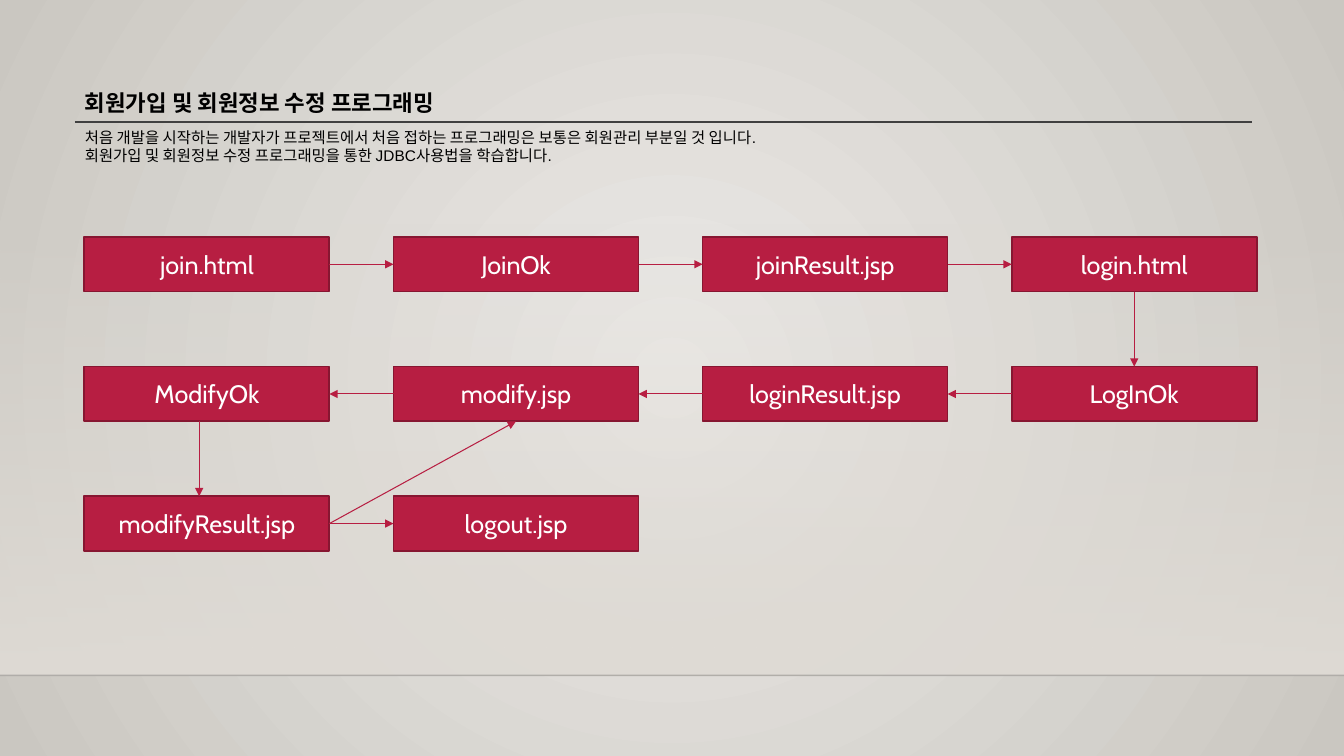
import pptx
import pptx.util
import pptx.dml.color
import pptx.enum.shapes
import pptx.enum.text
import pptx.oxml
from pptx.oxml.ns import nsdecls, qn

Pt = pptx.util.Pt
RECT = pptx.enum.shapes.MSO_SHAPE.RECTANGLE
STRAIGHT = pptx.enum.shapes.MSO_CONNECTOR.STRAIGHT
ANCHOR = pptx.enum.text.MSO_ANCHOR
ALIGN = pptx.enum.text.PP_ALIGN

COLORS = {
    "center": "ECEAE7", "edge": "CAC7C1", "wall": "DFDBD5", "floor": "000001",
    "rule": "404040", "text": "000000", "box": "B71E42", "border": "871631",
    "label": "FFFFFF",
}
TOP, LEFT, BOTTOM, RIGHT = range(4)  # connection sites of a rectangle

GRID = [
    ["join.html", "JoinOk", "joinResult.jsp", "login.html"],
    ["ModifyOk", "modify.jsp", "loginResult.jsp", "LogInOk"],
    ["modifyResult.jsp", "logout.jsp"],
]
FLOW = [
    ("join.html", RIGHT, "JoinOk", LEFT),
    ("JoinOk", RIGHT, "joinResult.jsp", LEFT),
    ("joinResult.jsp", RIGHT, "login.html", LEFT),
    ("login.html", BOTTOM, "LogInOk", TOP),
    ("LogInOk", LEFT, "loginResult.jsp", RIGHT),
    ("loginResult.jsp", LEFT, "modify.jsp", RIGHT),
    ("modify.jsp", LEFT, "ModifyOk", RIGHT),
    ("modifyResult.jsp", RIGHT, "logout.jsp", LEFT),
    ("modifyResult.jsp", RIGHT, "modify.jsp", BOTTOM),
]


def rgb(name):
    return pptx.dml.color.RGBColor.from_string(COLORS[name])


def set_gradient(fill, element, stops, direction):
    """Fill with (position, colour, opacity) stops, all in percent."""
    fill.solid()
    gs = "".join(
        f'<a:gs pos="{pos * 1000}"><a:srgbClr val="{COLORS[color]}">'
        f'<a:alpha val="{alpha * 1000}"/></a:srgbClr></a:gs>'
        for pos, color, alpha in stops)
    solid = element.find(".//" + qn("a:solidFill"))
    solid.getparent().replace(solid, pptx.oxml.parse_xml(
        f'<a:gradFill {nsdecls("a")} rotWithShape="1">'
        f'<a:gsLst>{gs}</a:gsLst>{direction}</a:gradFill>'))


def add_text(tf, text, size, font="Arial", color="text", bold=False,
             align=ALIGN.LEFT, anchor=ANCHOR.TOP):
    tf.word_wrap = True
    tf.vertical_anchor = anchor
    for i, line in enumerate(text.split("\n")):
        p = tf.paragraphs[0] if i == 0 else tf.add_paragraph()
        p.alignment = align
        r = p.add_run()
        r.text = line
        r.font.name, r.font.size, r.font.bold = font, Pt(size), bold
        r.font.color.rgb = rgb(color)


def add_line(s, x1, y1, x2, y2, color, width, arrow=False):
    c = s.shapes.add_connector(STRAIGHT, Pt(x1), Pt(y1), Pt(x2), Pt(y2))
    c.line.color.rgb = rgb(color)
    c.line.width = Pt(width)
    if arrow:
        c.line._get_or_add_ln().append(
            pptx.oxml.parse_xml(f'<a:tailEnd {nsdecls("a")} type="triangle"/>'))
    c._element.spPr.append(
        pptx.oxml.parse_xml(f'<a:effectLst {nsdecls("a")}/>'))
    return c


def add_backdrop(s, width, horizon, floor):
    set_gradient(
        s.background.fill, s._element,
        [(0, "center", 100), (100, "edge", 100)],
        '<a:path path="circle">'
        '<a:fillToRect l="50000" t="50000" r="50000" b="50000"/></a:path>')
    wall = s.shapes.add_shape(RECT, 0, Pt(horizon), Pt(width), Pt(floor - horizon))
    wall.shadow.inherit = False
    set_gradient(wall.fill, wall._element,
                 [(0, "wall", 0), (100, "wall", 100)],
                 '<a:lin ang="5400000" scaled="0"/>')
    wall.line.fill.background()
    edge = add_line(s, 0, floor, width, floor, "floor", 1)
    clr = edge._element.find(".//" + qn("a:srgbClr"))
    clr.append(pptx.oxml.parse_xml(f'<a:alpha {nsdecls("a")} val="20000"/>'))


def add_heading(s, x, y, w, title, intro):
    tb = s.shapes.add_textbox(Pt(x), Pt(y), Pt(w), Pt(26.6))
    add_text(tb.text_frame, title, 16, bold=True)
    add_line(s, x, y + 27.3, x + w, y + 27.3, "rule", 1)
    tb = s.shapes.add_textbox(Pt(x), Pt(y + 28), Pt(w), Pt(33.9))
    add_text(tb.text_frame, intro, 11)


def add_flowchart(s, x, y, w, h):
    box_w, box_h = 175, 39
    step_x = (w - box_w) / 3
    step_y = (h - box_h) / 2
    boxes = {}
    for row, names in enumerate(GRID):
        for col, name in enumerate(names):
            sp = s.shapes.add_shape(RECT, Pt(x + col * step_x), Pt(y + row * step_y),
                                    Pt(box_w), Pt(box_h))
            sp.shadow.inherit = False
            sp.fill.solid()
            sp.fill.fore_color.rgb = rgb("box")
            sp.line.color.rgb = rgb("border")
            sp.line.width = Pt(1.25)
            add_text(sp.text_frame, name, 18, font="Cabin", color="label",
                     align=ALIGN.CENTER, anchor=ANCHOR.MIDDLE)
            boxes[name] = sp
    for start, out_site, end, in_site in FLOW:
        c = add_line(s, 0, 0, 0, 0, "box", 0.75, arrow=True)
        c.begin_connect(boxes[start], out_site)
        c.end_connect(boxes[end], in_site)
    # The arrow from ModifyOk runs a little left of the box centre
    down_x = x + box_w / 2 - 5.5
    add_line(s, down_x, y + step_y + box_h, down_x, y + 2 * step_y,
             "box", 0.75, arrow=True)


def main():
    prs = pptx.Presentation()
    prs.slide_width, prs.slide_height = Pt(960), Pt(540)
    s = prs.slides.add_slide(prs.slide_layouts[6])
    add_backdrop(s, 960, 159, 482.4)
    add_heading(
        s, 53.5, 59.8, 841,
        "회원가입 및 회원정보 수정 프로그래밍",
        "처음 개발을 시작하는 개발자가 프로젝트에서 처음 접하는 프로그래밍은 "
        "보통은 회원관리 부분일 것 입니다.\n"
        "회원가입 및 회원정보 수정 프로그래밍을 통한 JDBC사용법을 학습합니다.")
    add_flowchart(s, 60.3, 169.3, 837.4, 224.2)
    prs.save("out.pptx")


if __name__ == "__main__":
    main()
